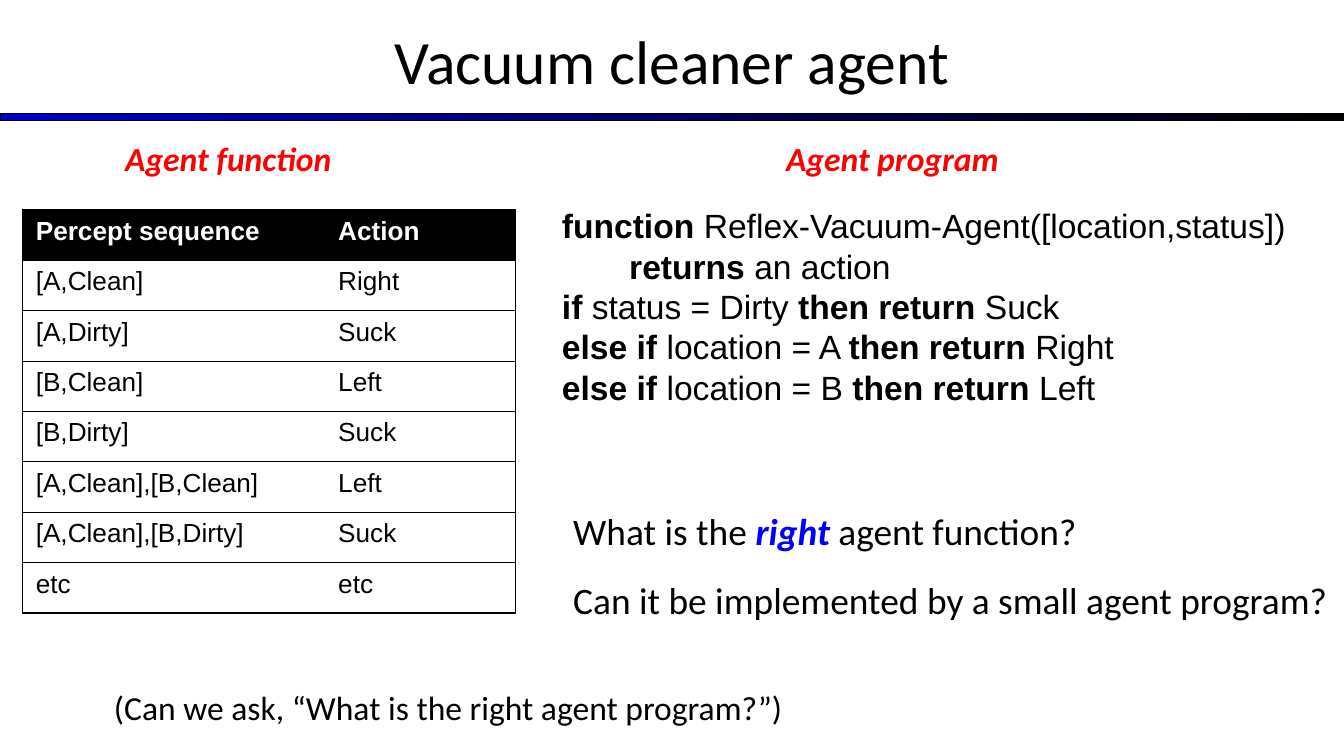
from lxml.etree import SubElement
from pptx import Presentation
from pptx.dml.color import RGBColor
from pptx.enum.shapes import MSO_SHAPE
from pptx.enum.text import MSO_ANCHOR, MSO_AUTO_SIZE as AUTO, PP_ALIGN
from pptx.oxml import parse_xml
from pptx.oxml.ns import nsdecls, qn
from pptx.util import Inches, Pt

BLACK = RGBColor(0, 0, 0)
WHITE = RGBColor(255, 255, 255)
RED = RGBColor(255, 0, 0)
BLUE = RGBColor(0, 0, 255)
NAVY = RGBColor(0, 0, 204)

COLS, ROWS = 120, 67.5  # grid of the whole slide
UNIT = Inches(10) / COLS

PERCEPTS = [
    ("Percept sequence", "Action"),
    ("[A,Clean]", "Right"),
    ("[A,Dirty]", "Suck"),
    ("[B,Clean]", "Left"),
    ("[B,Dirty]", "Suck"),
    ("[A,Clean],[B,Clean]", "Left"),
    ("[A,Clean],[B,Dirty]", "Suck"),
    ("etc", "etc"),
]

# Words between asterisks are bold.
PROGRAM = [
    "*function* Reflex-Vacuum-Agent([location,status])",
    "\t*returns* an action",
    "*if* status = Dirty *then return *Suck",
    "*else if *location = A *then return *Right",
    "*else if *location = B *then return *Left",
]


def grid(*units):
    return [round(u * UNIT) for u in units]


def set_font(font, size, name="Calibri", color=BLACK):
    font.size, font.name = Pt(size), name
    font.color.rgb = color


def add_title(slide, text):
    title = slide.shapes.title
    title.left, title.top, title.width, title.height = grid(0, -0.25, COLS, 11.25)
    tf = title.text_frame
    tf.text = text
    tf.vertical_anchor = MSO_ANCHOR.MIDDLE
    tf.margin_left = tf.margin_right = Inches(0.07)
    tf.margin_top = tf.margin_bottom = Inches(0.04)
    p = tf.paragraphs[0]
    p.alignment = PP_ALIGN.CENTER
    set_font(p.font, 33)


def add_rule(slide):
    sp = slide.shapes.add_shape(MSO_SHAPE.RECTANGLE, *grid(0, 10.15, COLS, 0.6))
    sp.shadow.inherit = False
    sp.fill.gradient()
    sp.fill.gradient_angle = 0
    for stop, color in zip(sp.fill.gradient_stops, (NAVY, BLACK)):
        stop.color.rgb = color
    sp.line.color.rgb = BLACK
    sp.line.width = Pt(0.75)


def add_text(slide, box, lines, size, name="Calibri", color=BLACK,
             italic=None, accent=None):
    """Write lines in which the words between asterisks are bold."""
    tf = slide.shapes.add_textbox(*grid(*box)).text_frame
    tf.word_wrap = False
    tf.auto_size = AUTO.SHAPE_TO_FIT_TEXT
    for i, line in enumerate(lines):
        p = tf.add_paragraph() if i else tf.paragraphs[0]
        set_font(p.font, size, name, color)
        for j, part in enumerate(line.split("*")):
            if not part:
                continue
            r = p.add_run()
            r.text = part
            if j % 2:
                r.font.bold = True
                r.font.italic = italic
                if accent:
                    r.font.color.rgb = accent


def set_borders(cell, hidden):
    """Draw thin black borders on a cell, except on the hidden side."""
    tc_pr = cell._tc.get_or_add_tcPr()
    for i, side in enumerate(("lnL", "lnR", "lnT", "lnB")):
        ln = parse_xml(f'<a:{side} {nsdecls("a")} w="{Pt(0.75)}"/>')
        if side == hidden:
            SubElement(ln, qn("a:noFill"))
        else:
            fill = SubElement(ln, qn("a:solidFill"))
            SubElement(fill, qn("a:srgbClr"), val=str(BLACK))
        tc_pr.insert(i, ln)


def add_percept_table(slide):
    widths, row_height = (27, 17), 4.5
    box = grid(2, 18.75, sum(widths), row_height * len(PERCEPTS))
    table = slide.shapes.add_table(len(PERCEPTS), len(widths), *box).table
    for column, width in zip(table.columns, grid(*widths)):
        column.width = width
    for i, row in enumerate(PERCEPTS):
        for j, text in enumerate(row):
            cell = table.cell(i, j)
            cell.text = text
            cell.fill.solid()
            cell.fill.fore_color.rgb = WHITE if i else BLACK
            font = cell.text_frame.paragraphs[0].font
            set_font(font, 14, "Arial", BLACK if i else WHITE)
            font.bold = i == 0
            set_borders(cell, hidden="lnL" if j else "lnR")


def main():
    prs = Presentation()
    prs.slide_width, prs.slide_height = grid(COLS, ROWS)
    slide = prs.slides.add_slide(prs.slide_layouts[5])
    add_rule(slide)
    add_title(slide, "Vacuum cleaner agent")
    add_percept_table(slide)
    for left, width, heading in ((10, 21.8, "function"), (69, 22.4, "program")):
        add_text(slide, (left, 11.75, width, 4.8), [f"*Agent {heading}*"], 18,
                 color=RED, italic=True)
    add_text(slide, (49, 17.75, 67.7, 23), PROGRAM, 18, "Arial")
    add_text(slide, (50, 44.75, 48.5, 5.25),
             ["What is the *right* agent function?"], 20,
             italic=True, accent=BLUE)
    add_text(slide, (50, 50.9, 71.4, 5.25),
             ["Can it be implemented by a small agent program?"], 20)
    add_text(slide, (9, 60.75, 62.9, 4.8),
             ["(Can we ask, “What is the right agent program?”)"], 18)
    prs.save("out.pptx")


if __name__ == "__main__":
    main()
